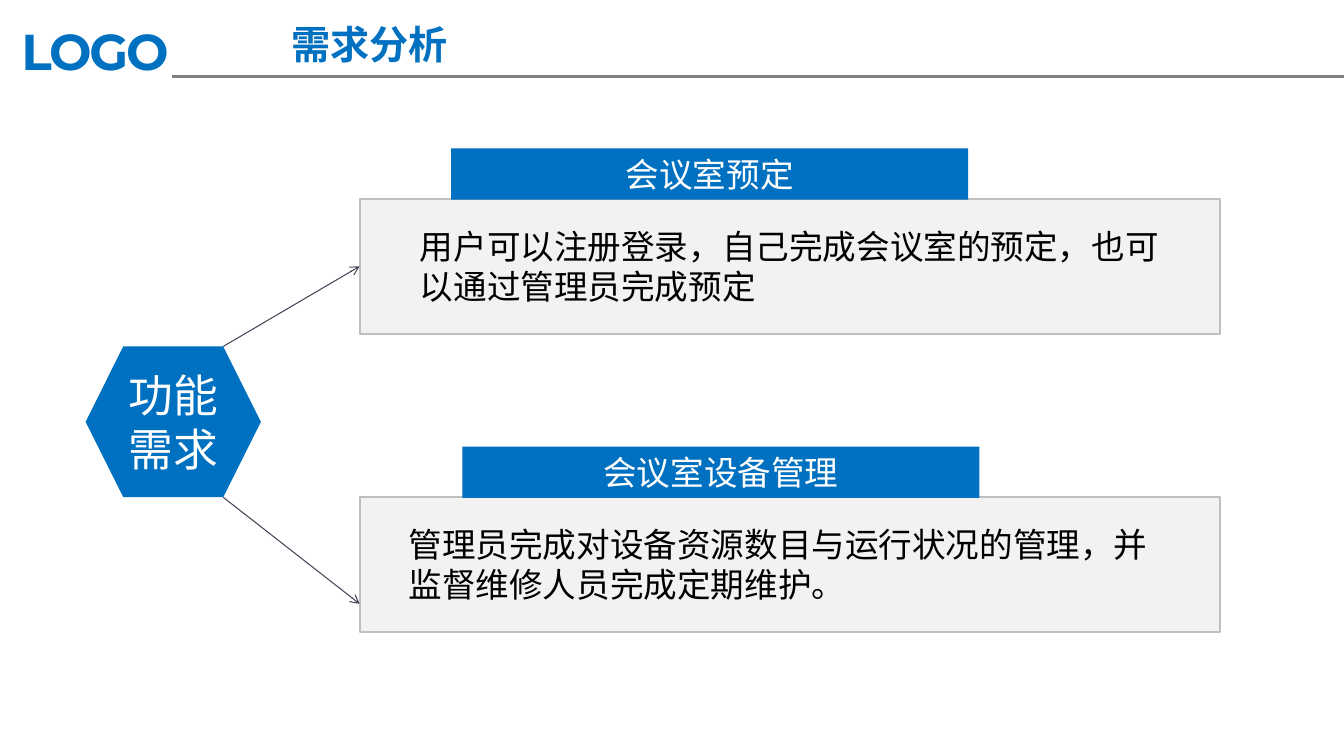
"""Build the requirements analysis slide with two functional needs."""
import pptx
import pptx.chart.data
import pptx.dml.color
import pptx.enum.shapes
import pptx.enum.text
import pptx.oxml.ns
import pptx.util
from lxml import etree

Pt = pptx.util.Pt
SHAPE = pptx.enum.shapes.MSO_SHAPE
ALIGN = pptx.enum.text.PP_ALIGN
ANCHOR = pptx.enum.text.MSO_ANCHOR
qn = pptx.oxml.ns.qn

BLUE = "0070C0"
CJK = "Noto Sans CJK SC"


def paint(color_format, value):
    color_format.rgb = pptx.dml.color.RGBColor.from_string(value)


def write(box, text, color, align, anchor, **font_values):
    frame = box.text_frame
    frame.word_wrap = True
    frame.vertical_anchor = anchor
    para = frame.paragraphs[0]
    para.alignment = align
    span = para.add_run()
    span.text = text
    for name, value in font_values.items():
        setattr(span.font, name, value)
    paint(span.font.color, color)
    if span.font.name == CJK:
        etree.SubElement(span.font._element, qn("a:ea"), typeface=CJK)
    return span


deck = pptx.Presentation()
deck.slide_width, deck.slide_height = Pt(960.5), Pt(540)
page = deck.slides.add_slide(deck.slide_layouts[5])
shapes = page.shapes

title = shapes.title
for name, value in dict(left=134.6, top=10.8, width=259.2, height=41).items():
    setattr(title, name, Pt(value))
title.text_frame.auto_size = pptx.enum.text.MSO_AUTO_SIZE.NONE
write(title, "需求分析", BLUE, ALIGN.CENTER, ANCHOR.MIDDLE,
      size=Pt(28), bold=True, name=CJK)

logo = shapes.add_textbox(Pt(5.8), Pt(9.4), Pt(134), Pt(53.3))
for side, inset in dict(left=9.4, top=5, right=9.4, bottom=5).items():
    setattr(logo.text_frame, f"margin_{side}", Pt(inset))
span = write(logo, "LOGO", BLUE, ALIGN.LEFT, ANCHOR.TOP,
             size=Pt(36), bold=True, name="Montserrat")
span.font._element.set("spc", "-150")

hexagon = shapes.add_shape(SHAPE.HEXAGON, Pt(61.2), Pt(247.5), Pt(125.3), Pt(107.7))
write(hexagon, "功能需求", "FFFFFF", ALIGN.CENTER, ANCHOR.MIDDLE, size=Pt(32), name=CJK)
filled = [(hexagon, BLUE, None)]

needs = [
    (142, 322.5, 293, "会议室预定",
     "用户可以注册登录，自己完成会议室的预定，也可以通过管理员完成预定"),
    (355, 330.5, 285, "会议室设备管理",
     "管理员完成对设备资源数目与运行状况的管理，并监督维修人员完成定期维护。"),
]
panels = []
for top, header_left, detail_left, heading, detail in needs:
    panel = shapes.add_shape(SHAPE.RECTANGLE, Pt(257), Pt(top), Pt(615), Pt(96.5))
    header = shapes.add_shape(SHAPE.RECTANGLE, Pt(header_left), Pt(top - 36),
                              Pt(369.4), Pt(36.7))
    write(header, heading, "FFFFFF", ALIGN.CENTER, ANCHOR.MIDDLE, size=Pt(24), name=CJK)
    box = shapes.add_textbox(Pt(detail_left), Pt(top + 15.7), Pt(556), Pt(65.5))
    write(box, detail, "000000", ALIGN.LEFT, ANCHOR.TOP, size=Pt(24), name="Calibri")
    panels.append(panel)
    filled += [(panel, "F2F2F2", "BFBFBF"), (header, BLUE, None)]

for shape, fill, outline in filled:
    shape.shadow.inherit = False
    shape.fill.solid()
    paint(shape.fill.fore_color, fill)
    if outline:
        paint(shape.line.color, outline)
        shape.line.width = Pt(1.5)
    else:
        shape.line.fill.background()

lines = [
    (123, 54.7, 960.5, 54.7, "808080", 2, False, None),
    (159.5, 247.5, 257, 190.25, "414455", 0.75, True, panels[0]),
    (159.5, 355.2, 257, 431.3, "414455", 0.75, True, None),
]
for x1, y1, x2, y2, color, width, arrow, target in lines:
    line = shapes.add_connector(pptx.enum.shapes.MSO_CONNECTOR.STRAIGHT,
                                Pt(x1), Pt(y1), Pt(x2), Pt(y2))
    paint(line.line.color, color)
    line.line.width = Pt(width)
    if arrow:
        etree.SubElement(line.line._get_or_add_ln(), qn("a:tailEnd"), type="arrow")
    if target:
        line.end_connect(target, 1)
    etree.SubElement(line._element.spPr, qn("a:effectLst"))

deck.save("out.pptx")
